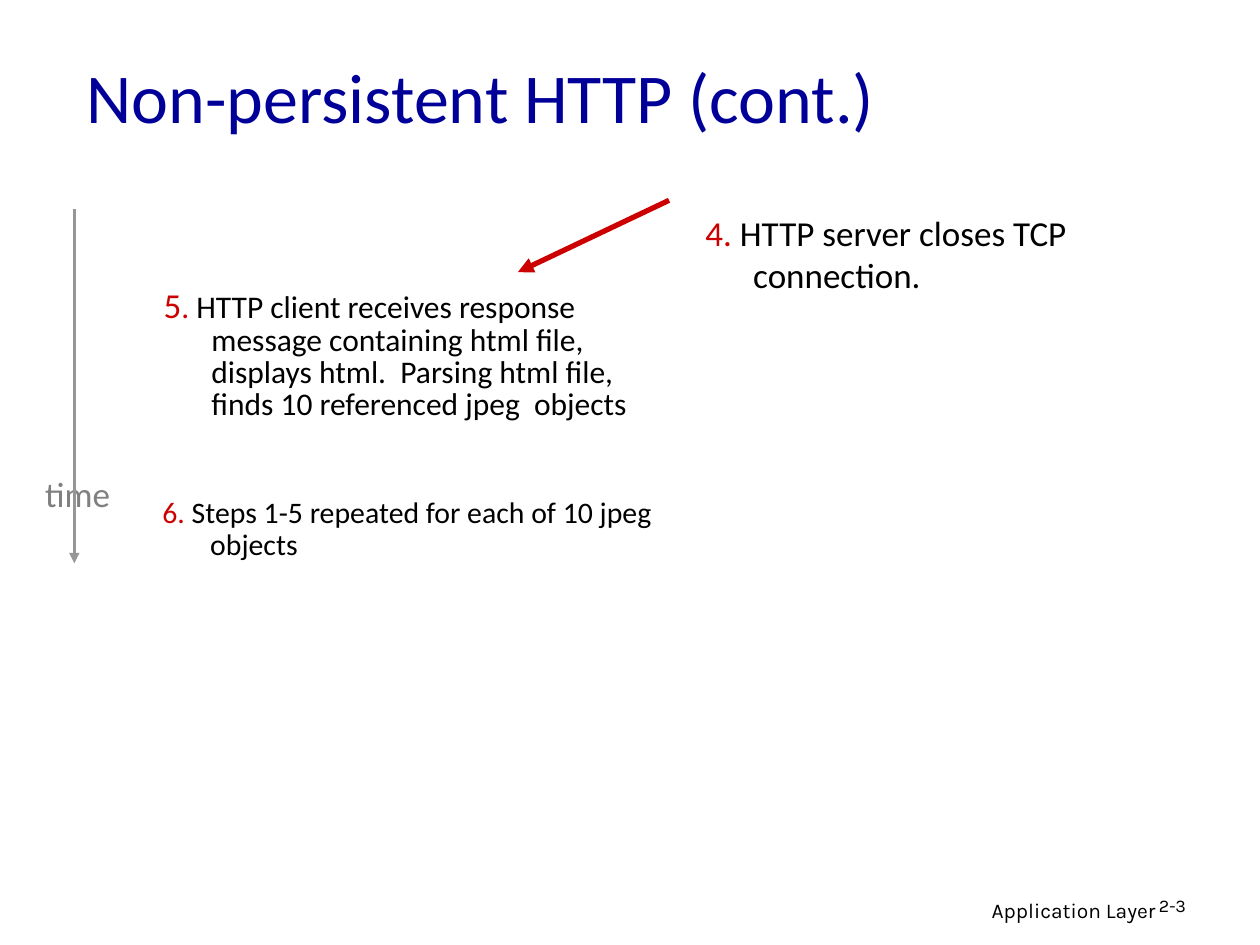
"""Build the slide on the closing steps of a non-persistent HTTP exchange."""
from dataclasses import dataclass
from typing import Optional

from lxml.etree import SubElement
from pptx import Presentation
from pptx.dml.color import RGBColor
from pptx.enum.shapes import MSO_CONNECTOR
from pptx.enum.text import MSO_ANCHOR, PP_ALIGN
from pptx.oxml.ns import qn
from pptx.slide import Slide
from pptx.util import Emu, Inches, Pt

COLORS = {
    "title": "000099",
    "accent": "CC0000",
    "text": "000000",
    "axis": "969696",
    "label": "808080",
}
COLUMNS, ROWS = 100, 75
CELL = Inches(0.1)
HANGING_INDENT = Inches(0.38)


@dataclass(frozen=True)
class Span:
    text: str
    color: str = "text"
    size: Optional[float] = None


@dataclass(frozen=True)
class TextBlock:
    column: float
    row: float
    width: float
    height: float
    size: float
    spans: tuple[Span, ...]
    font: str = "Calibri"
    align: PP_ALIGN = PP_ALIGN.LEFT
    anchor: MSO_ANCHOR = MSO_ANCHOR.TOP
    line_spacing: float = 1.0
    space_before: float = 0
    hanging: bool = False
    wrap: bool = True


@dataclass(frozen=True)
class Arrow:
    start: tuple[float, float]
    end: tuple[float, float]
    color: str
    width: float


BLOCKS = (
    TextBlock(61, 70.7, 31.7, 3.1, 12, (Span("Application Layer"),),
              font="Karla", align=PP_ALIGN.RIGHT),
    TextBlock(91, 70.7, 7.4, 3, 10.2, (Span("2-3"),),
              font="Karla", line_spacing=0.9),
    TextBlock(5.9, 2.8, 85, 9.5, 40,
              (Span("Non-persistent HTTP (cont.)", "title"),),
              anchor=MSO_ANCHOR.MIDDLE),
    TextBlock(12, 22.5, 41.7, 16.8, 18,
              (Span("5", "accent", 20), Span(".", "accent"),
               Span(" HTTP client receives response message containing html file, "
                    "displays html.  Parsing html file, "
                    "finds 10 referenced jpeg  objects")),
              line_spacing=0.85, space_before=4.5, hanging=True),
    TextBlock(11.9, 39, 41.7, 7.3, 17,
              (Span("6.", "accent"),
               Span(" Steps 1-5 repeated for each of 10 jpeg objects")),
              line_spacing=0.9, space_before=5, hanging=True),
    TextBlock(55, 16.3, 41.7, 8, 20,
              (Span("4.", "accent"),
               Span(" HTTP server closes TCP connection.")),
              space_before=5, hanging=True),
    TextBlock(2.2, 37, 7.9, 4.4, 20, (Span("time", "label"),),
              align=PP_ALIGN.CENTER, wrap=False),
)
ARROWS = (
    Arrow((5.9, 16.6), (5.9, 44.7), "axis", 1.5),
    Arrow((53.1, 15.9), (41.1, 21.6), "accent", 3),
)


def cells(count: float) -> Emu:
    """Convert grid cells to a length."""
    return Emu(round(count * CELL))


def draw_text(page: Slide, block: TextBlock) -> None:
    """Draw one paragraph of coloured spans in a text box."""
    box = page.shapes.add_textbox(cells(block.column), cells(block.row),
                                  cells(block.width), cells(block.height))
    frame = box.text_frame
    frame.word_wrap = block.wrap
    frame.vertical_anchor = block.anchor
    para = frame.paragraphs[0]
    para.alignment = block.align
    para.line_spacing = block.line_spacing
    para.space_before = Pt(block.space_before)
    para.font.name = block.font
    para.font.size = Pt(block.size)
    if block.hanging:
        properties = para.font._element.getparent()
        properties.set("marL", str(HANGING_INDENT))
        properties.set("indent", str(-HANGING_INDENT))
    for span in block.spans:
        run = para.add_run()
        run.text = span.text
        run.font.color.rgb = RGBColor.from_string(COLORS[span.color])
        if span.size:
            run.font.size = Pt(span.size)


def draw_arrow(page: Slide, arrow: Arrow) -> None:
    """Draw a straight line with a triangle at its end."""
    points = [cells(value) for value in (*arrow.start, *arrow.end)]
    connector = page.shapes.add_connector(MSO_CONNECTOR.STRAIGHT, *points)
    connector.line.color.rgb = RGBColor.from_string(COLORS[arrow.color])
    connector.line.width = Pt(arrow.width)
    SubElement(connector.line._get_or_add_ln(), qn("a:tailEnd"), type="triangle")
    SubElement(connector._element.spPr, qn("a:effectLst"))


def main() -> None:
    """Create the deck and save it."""
    deck = Presentation()
    deck.slide_width, deck.slide_height = cells(COLUMNS), cells(ROWS)
    page = deck.slides.add_slide(deck.slide_layouts[6])
    for block in BLOCKS:
        draw_text(page, block)
    for arrow in ARROWS:
        draw_arrow(page, arrow)
    deck.save("out.pptx")


if __name__ == "__main__":
    main()
